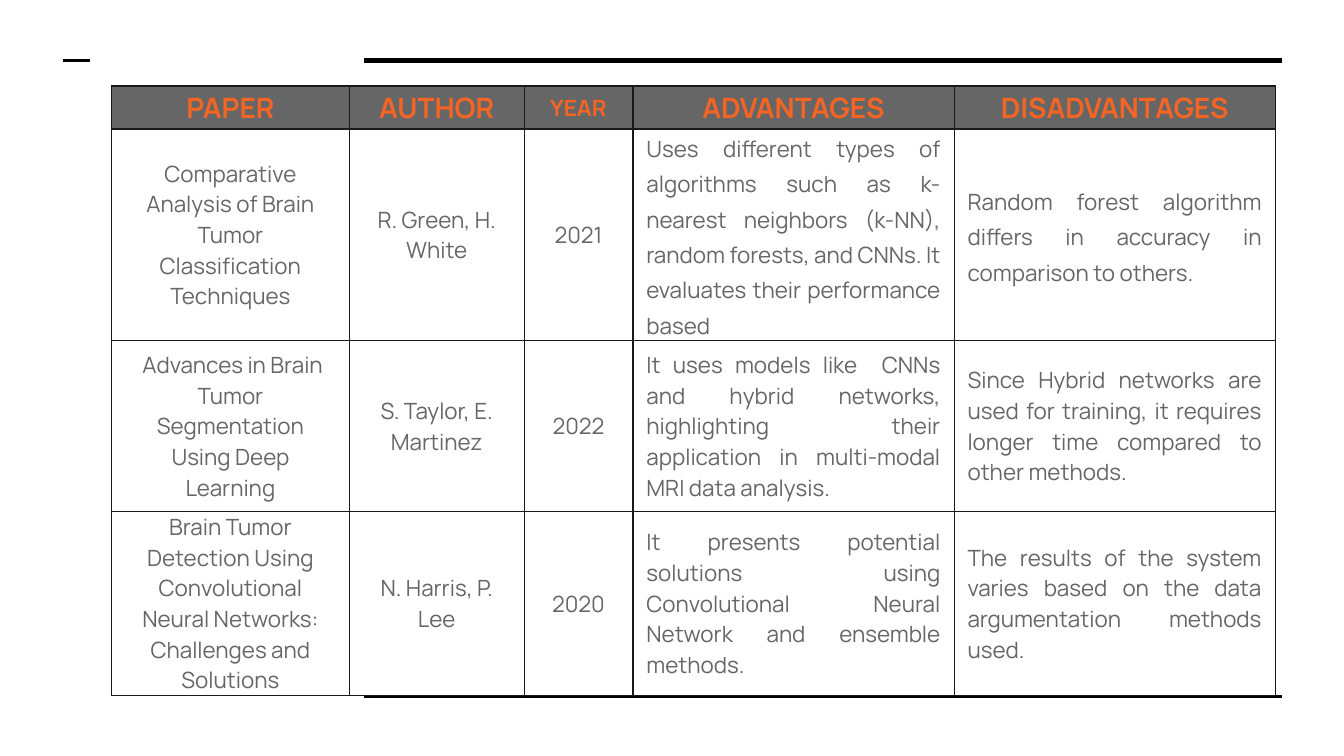
from lxml import etree
from pptx import Presentation
from pptx.dml.color import RGBColor
from pptx.enum.shapes import MSO_CONNECTOR
from pptx.enum.text import MSO_ANCHOR, PP_ALIGN
from pptx.oxml.ns import qn
from pptx.util import Inches, Pt

STRAIGHT = MSO_CONNECTOR.STRAIGHT
MIDDLE = MSO_ANCHOR.MIDDLE
CENTER, JUSTIFY = PP_ALIGN.CENTER, PP_ALIGN.JUSTIFY

COLORS = {
    "rule": "000000",
    "border": "191919",
    "gray": "666666",
    "white": "FFFFFF",
    "accent": "F46524",
}

COL_WIDTHS = [1.77, 1.3, 0.81, 2.39, 2.39]
ROW_HEIGHTS = [0.32, 1.44, 1.27, 1.31]
FIRST_JUSTIFIED_COL = 3

HEADERS = ["PAPER", "AUTHOR", "YEAR", "ADVANTAGES", "DISADVANTAGES"]
PAPERS = [
    ["Comparative Analysis of Brain Tumor Classification Techniques",
     "R. Green, H. White", "2021",
     "Uses different types of algorithms such as k-nearest neighbors (k-NN), "
     "random forests, and CNNs. It evaluates their performance based",
     "Random forest algorithm differs in accuracy in comparison to others."],
    [" Advances in Brain Tumor Segmentation Using Deep Learning",
     "S. Taylor, E. Martinez", "2022",
     "It uses models like  CNNs and hybrid networks, highlighting their "
     "application in multi-modal MRI data analysis.",
     "Since Hybrid networks are used for training, it requires longer time "
     "compared to other methods."],
    ["Brain Tumor Detection Using Convolutional Neural Networks: "
     "Challenges and Solutions",
     "N. Harris, P. Lee", "2020",
     "It presents potential solutions using Convolutional Neural Network "
     "and ensemble methods.",
     "The results of the system varies based on the data argumentation "
     "methods used."],
]


class SlideBuilder:
    font = "Manrope"

    def __init__(self, slide):
        self.s = slide

    def color(self, name):
        return RGBColor.from_string(COLORS[name])

    def rule(self, left, right, y, weight):
        line = self.s.shapes.add_connector(
            STRAIGHT, Inches(left), Inches(y), Inches(right), Inches(y))
        line.line.color.rgb = self.color("rule")
        line.line.width = Pt(weight)
        etree.SubElement(line._element.spPr, qn("a:effectLst"))

    def table(self, left, top, col_widths, row_heights):
        frame = self.s.shapes.add_table(
            len(row_heights), len(col_widths), Inches(left), Inches(top),
            Inches(sum(col_widths)), Inches(sum(row_heights)))
        table = frame.table
        for col, width in zip(table.columns, col_widths):
            col.width = Inches(width)
        for row, height in zip(table.rows, row_heights):
            row.height = Inches(height)
        return table

    def borders(self, cell):
        """Draw all four cell borders; call before the fill is set."""
        tc_pr = cell._tc.get_or_add_tcPr()
        for side in ("a:lnL", "a:lnR", "a:lnT", "a:lnB"):
            ln = etree.SubElement(tc_pr, qn(side), w=str(Pt(0.75)))
            fill = etree.SubElement(ln, qn("a:solidFill"))
            etree.SubElement(fill, qn("a:srgbClr"), val=COLORS["border"])

    def cell(self, cell, text, fill, color, size=12, bold=False,
             align=CENTER, spacing=None):
        self.borders(cell)
        cell.fill.solid()
        cell.fill.fore_color.rgb = self.color(fill)
        cell.vertical_anchor = MIDDLE
        cell.margin_left = cell.margin_right = Inches(0.1)
        cell.margin_top = cell.margin_bottom = 0
        cell.text = text
        p = cell.text_frame.paragraphs[0]
        p.alignment = align
        p.line_spacing = spacing
        p.font.name = self.font
        p.font.size = Pt(size)
        p.font.bold = bold
        p.font.color.rgb = self.color(color)


def main():
    prs = Presentation()
    prs.slide_width = Inches(10)
    prs.slide_height = prs.slide_width * 9 // 16
    b = SlideBuilder(prs.slides.add_slide(prs.slide_layouts[6]))

    b.rule(2.71, 9.54, 0.45, 3)
    b.rule(2.71, 9.54, 5.18, 1.5)
    b.rule(0.47, 0.67, 0.45, 1.5)

    table = b.table(0.83, 0.64, COL_WIDTHS, ROW_HEIGHTS)
    for col, text in enumerate(HEADERS):
        b.cell(table.cell(0, col), text, "gray", "accent",
               size=12 if text == "YEAR" else 15, bold=True)
    for row, paper in enumerate(PAPERS, start=1):
        for col, text in enumerate(paper):
            justified = col >= FIRST_JUSTIFIED_COL
            b.cell(table.cell(row, col), text, "white", "gray",
                   align=JUSTIFY if justified else CENTER,
                   spacing=1.15 if justified and row == 1 else None)

    prs.save("out.pptx")


if __name__ == "__main__":
    main()
